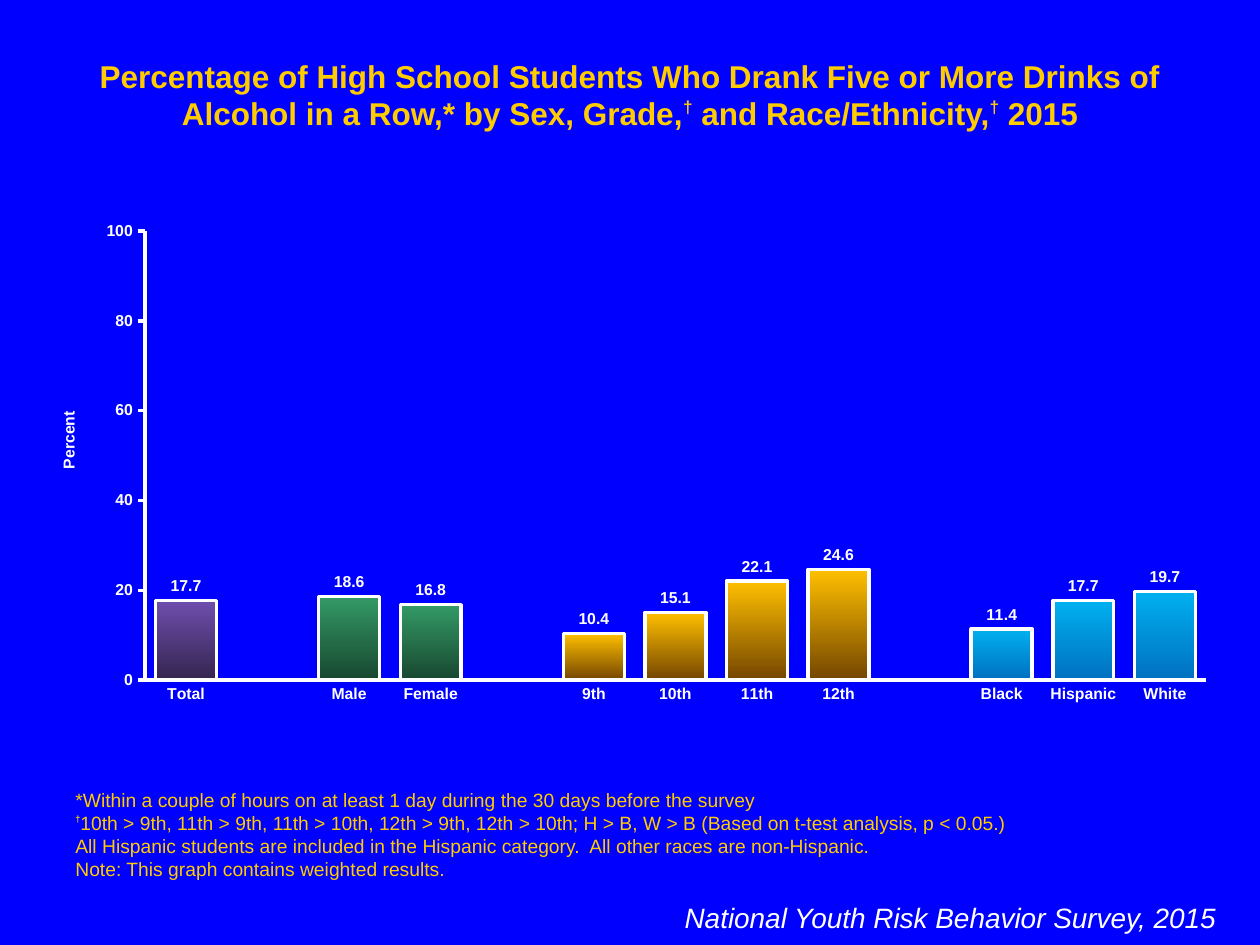
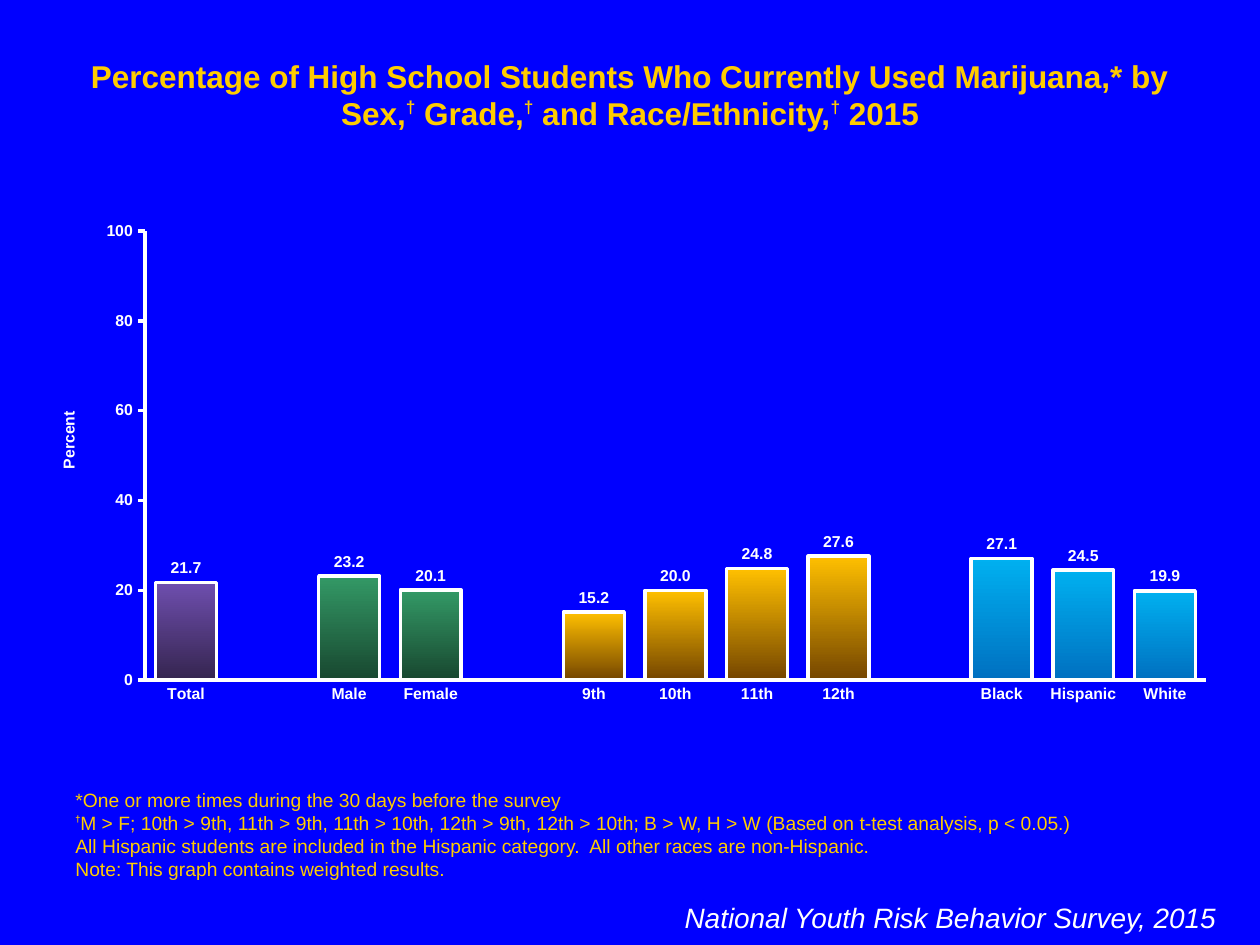
from dataclasses import dataclass

from pptx import Presentation
from pptx.chart.data import CategoryChartData
from pptx.dml.color import RGBColor
from pptx.enum.chart import XL_CHART_TYPE as ChartType
from pptx.enum.chart import XL_LABEL_POSITION as LabelPosition
from pptx.enum.chart import XL_TICK_MARK as TickMark
from pptx.enum.text import MSO_ANCHOR as Anchor
from pptx.enum.text import MSO_AUTO_SIZE as AutoSize
from pptx.enum.text import PP_ALIGN as Align
from pptx.oxml import parse_xml
from pptx.oxml.ns import nsdecls, qn
from pptx.util import Inches, Pt

FONT = "Arial"
BLUE, GOLD, WHITE = "0000FF", "FFCC00", "FFFFFF"
DAGGER = "†"
SOURCE = "National Youth Risk Behavior Survey, 2015"
SHARED_NOTES = [
    "All Hispanic students are included in the Hispanic category.  All other races are non-Hispanic.",
    "Note: This graph contains weighted results.",
]


@dataclass(frozen=True)
class Group:
    names: tuple[str, ...]
    top: str
    bottom: str


@dataclass(frozen=True)
class Survey:
    title: str
    notes: list[str]
    percents: list[float]


@dataclass(frozen=True)
class TextStyle:
    left: float
    top: float
    width: float
    height: float
    size: float
    color: str
    align: Align = Align.LEFT
    anchor: Anchor = Anchor.TOP
    bold: bool = False
    italic: bool = False
    dagger_size: float = 9
    dagger_raise: int = 50


TITLE = TextStyle(0.5, 0.4, 9, 0.4, 18, GOLD, Align.CENTER, bold=True,
                  dagger_size=17, dagger_raise=40)
NOTES = TextStyle(0.5, 6.75, 9, 0.29, 11, GOLD, anchor=Anchor.BOTTOM)
FOOTER = TextStyle(4.25, 7.1, 5.5, 0.4, 16, WHITE, Align.RIGHT, italic=True)

GROUPS = [
    Group(("Total",), "6E4EAE", "35254F"),
    Group(("Male", "Female"), "339966", "18472F"),
    Group(("9th", "10th", "11th", "12th"), "FFC000", "744500"),
    Group(("Black", "Hispanic", "White"), "00B0F0", "0070C0"),
]

SURVEYS = [
    Survey(
        "Percentage of High School Students Who Drank Five or More Drinks of "
        "Alcohol in a Row,* by Sex, Grade,† and Race/Ethnicity,† 2015",
        ["*Within a couple of hours on at least 1 day during the 30 days before the survey",
         "†10th > 9th, 11th > 9th, 11th > 10th, 12th > 9th, 12th > 10th; "
         "H > B, W > B (Based on t-test analysis, p < 0.05.)"],
        [17.7, 18.6, 16.8, 10.4, 15.1, 22.1, 24.6, 11.4, 17.7, 19.7],
    ),
    Survey(
        "Percentage of High School Students Who Currently Used Marijuana,* by "
        "Sex,† Grade,† and Race/Ethnicity,† 2015",
        ["*One or more times during the 30 days before the survey",
         "†M > F; 10th > 9th, 11th > 9th, 11th > 10th, 12th > 9th, 12th > 10th; "
         "B > W, H > W (Based on t-test analysis, p < 0.05.)"],
        [21.7, 23.2, 20.1, 15.2, 20.0, 24.8, 27.6, 27.1, 24.5, 19.9],
    ),
]


def rgb(color: str) -> RGBColor:
    return RGBColor.from_string(color)


def set_font(font, size: float, color: str, bold: bool = False, italic: bool = False) -> None:
    font.name, font.size = FONT, Pt(size)
    font.bold, font.italic = bold, italic
    font.color.rgb = rgb(color)


def add_span(para, text: str, style: TextStyle) -> None:
    span = para.add_run()
    span.text = text
    is_dagger = text == DAGGER
    size = style.dagger_size if is_dagger else style.size
    set_font(span.font, size, style.color, style.bold or is_dagger, style.italic)
    if is_dagger:
        span._r.get_or_add_rPr().set("baseline", str(style.dagger_raise * 1000))


def add_text(slide, lines: list[str], style: TextStyle) -> None:
    """Write one paragraph per line, with each dagger raised."""
    box = slide.shapes.add_textbox(Inches(style.left), Inches(style.top),
                                   Inches(style.width), Inches(style.height))
    frame = box.text_frame
    frame.word_wrap = True
    frame.auto_size = AutoSize.SHAPE_TO_FIT_TEXT
    frame.vertical_anchor = style.anchor
    for index, line in enumerate(lines):
        para = frame.add_paragraph() if index else frame.paragraphs[0]
        para.alignment = style.align
        for part_index, part in enumerate(line.split(DAGGER)):
            if part_index:
                add_span(para, DAGGER, style)
            if part:
                add_span(para, part, style)


def set_layout(parent, **fractions: float) -> None:
    """Fix a chart part at fractions of the chart's size."""
    target = '<c:layoutTarget val="inner"/>' if "w" in fractions else ""
    modes = "".join(f'<c:{key}Mode val="edge"/>' for key in fractions if key in "xy")
    values = "".join(f'<c:{key} val="{value}"/>' for key, value in fractions.items())
    layout = parse_xml(f'<c:layout {nsdecls("c")}><c:manualLayout>{target}{modes}{values}'
                       "</c:manualLayout></c:layout>")
    current = parent.find(qn("c:layout"))
    if current is None:
        parent.insert(0, layout)
    else:
        parent.replace(current, layout)


def style_axis(axis, tick: TickMark) -> None:
    axis.has_major_gridlines = False
    axis.major_tick_mark, axis.minor_tick_mark = tick, TickMark.NONE
    axis.format.line.color.rgb = rgb(WHITE)
    axis.format.line.width = Pt(2)
    set_font(axis.tick_labels.font, 9, WHITE, bold=True)


def style_value_axis(axis) -> None:
    style_axis(axis, TickMark.OUTSIDE)
    axis.minimum_scale, axis.maximum_scale, axis.major_unit = 0, 100, 20
    axis.tick_labels.number_format = "General"
    axis.tick_labels.number_format_is_linked = False
    title = axis.axis_title
    title.text_frame.text = "Percent"
    set_font(title.text_frame.paragraphs[0].runs[0].font, 9, WHITE, bold=True)
    body = title.text_frame._txBody.find(qn("a:bodyPr"))
    body.set("rot", "-5400000")
    body.set("vert", "horz")
    set_layout(title._element, x=0.02, y=0.39)


def style_bar(bar, group: Group) -> None:
    fill = bar.format.fill
    fill.gradient()
    fill.gradient_angle = 270
    for stop, color in zip(fill.gradient_stops, (group.top, group.bottom)):
        stop.color.rgb = rgb(color)
    bar.format.line.color.rgb = rgb(WHITE)
    bar.format.line.width = Pt(2)


def add_percent_chart(slide, percents: list[float]) -> None:
    """Draw the groups as columns with one empty category between groups."""
    values = iter(percents)
    columns = []
    for group in GROUPS:
        if columns:
            columns.append(("", None, None))
        columns += [(name, next(values), group) for name in group.names]
    data = CategoryChartData(number_format="#,##0.0")
    data.categories = [name for name, _, _ in columns]
    data.add_series("Series 1", [value for _, value, _ in columns])

    chart = slide.shapes.add_chart(ChartType.COLUMN_CLUSTERED, Inches(0.25), Inches(1.69),
                                   Inches(9.5), Inches(3.98), data).chart
    chart.has_title = chart.has_legend = False
    set_font(chart.font, 18, WHITE)
    style_axis(chart.category_axis, TickMark.NONE)
    style_value_axis(chart.value_axis)
    set_layout(chart._chartSpace.chart.plotArea, x=0.095, y=0.036, w=0.886, h=0.896)

    plot = chart.plots[0]
    plot.gap_width, plot.overlap, plot.vary_by_categories = 34, 100, False
    for index, (_, _, group) in enumerate(columns):
        if group:
            style_bar(plot.series[0].points[index], group)
    plot.has_data_labels = True
    labels = plot.data_labels
    labels.show_value = True
    labels.position = LabelPosition.OUTSIDE_END
    labels.number_format, labels.number_format_is_linked = "#,##0.0", False
    set_font(labels.font, 9, WHITE, bold=True)


def add_survey_slide(deck, survey: Survey) -> None:
    slide = deck.slides.add_slide(deck.slide_layouts[6])
    slide.background.fill.solid()
    slide.background.fill.fore_color.rgb = rgb(BLUE)
    add_text(slide, [survey.title], TITLE)
    add_text(slide, survey.notes + SHARED_NOTES, NOTES)
    add_text(slide, [SOURCE], FOOTER)
    add_percent_chart(slide, survey.percents)


def main() -> None:
    deck = Presentation()
    deck.slide_width, deck.slide_height = Inches(10), Inches(7.5)
    for survey in SURVEYS:
        add_survey_slide(deck, survey)
    deck.save("out.pptx")


if __name__ == "__main__":
    main()
